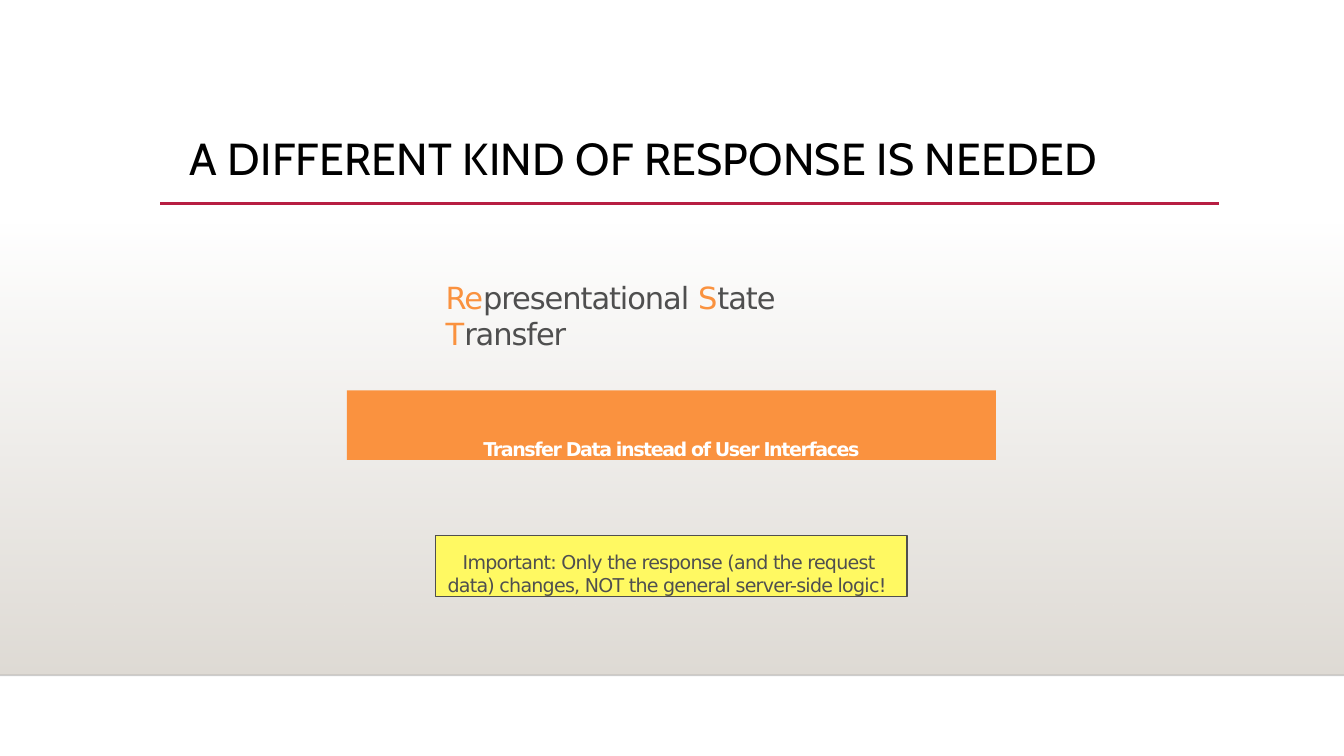
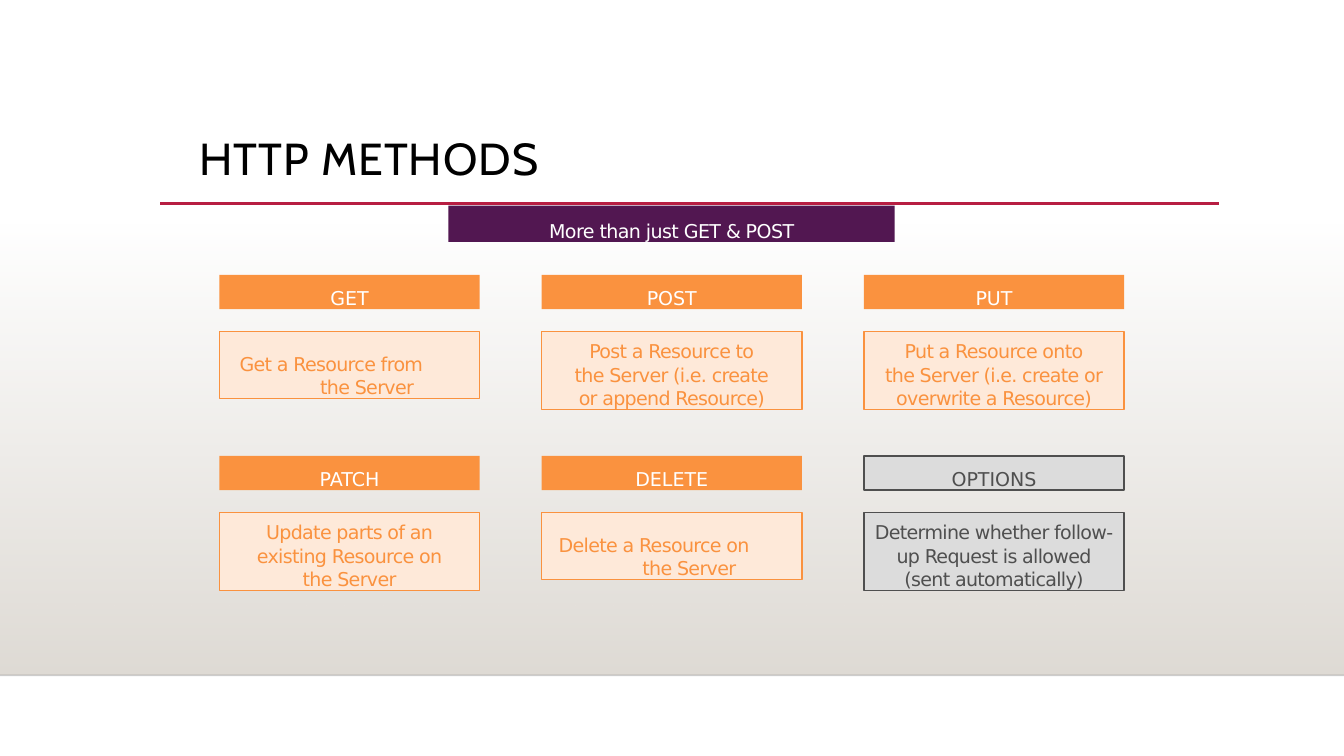
from dataclasses import dataclass
from typing import Optional

from lxml.etree import SubElement
from pptx import Presentation
from pptx.dml.color import RGBColor
from pptx.enum.shapes import MSO_CONNECTOR as Link, MSO_SHAPE as Kind
from pptx.enum.text import MSO_ANCHOR as Anchor, MSO_AUTO_SIZE as Fit, PP_ALIGN as Align
from pptx.oxml.ns import qn
from pptx.util import Cm, Pt

ORANGE, PEACH, YELLOW, PLUM = "FA923F", "FEE9D9", "FFF962", "521751"
DARK, PALE, SAND, RED = "4F4F4F", "DCDCDC", "DFDBD5", "B71E42"
WHITE, BLACK = "FFFFFF", "000000"
SANS, HEAD = "DejaVu Sans", "Cabin"
WIDE, HIGH = 33.87, 19.05


@dataclass(frozen=True)
class Box:
    """Place and size in centimetres."""
    left: float
    top: float
    width: float
    height: float

    def lengths(self) -> tuple:
        """Return the four values as lengths."""
        return Cm(self.left), Cm(self.top), Cm(self.width), Cm(self.height)


@dataclass(frozen=True)
class Skin:
    """Fill, line and text colours of a panel."""
    fill: str
    ink: str
    edge: Optional[str] = None


@dataclass(frozen=True)
class Method:
    """An HTTP method; a note with a hang is left aligned."""
    name: str
    note: str
    hang: Optional[tuple] = None
    head: Skin = Skin(ORANGE, WHITE)
    body: Skin = Skin(PEACH, ORANGE, ORANGE)


def paint(color: str) -> RGBColor:
    """Turn a hex string into a colour."""
    return RGBColor.from_string(color)


def fade(clr, share: int) -> None:
    """Give a colour element an opacity in percent."""
    SubElement(clr, qn("a:alpha")).set("val", str(share * 1000))


def write(frame, text: str, *, size: float = 13.6, font: str = SANS,
          ink: str = DARK, accent: str = ORANGE, bold: bool = False,
          gap: float = 0, align=Align.CENTER, anchor=Anchor.BOTTOM,
          hang: Optional[tuple] = None, leading: float = 1) -> None:
    """Fill a frame; newlines break lines and *stars* mark accents."""
    frame.margin_left = frame.margin_right = 0
    frame.margin_top = frame.margin_bottom = 0
    frame.word_wrap, frame.auto_size = True, Fit.NONE
    frame.vertical_anchor = anchor
    para = frame.paragraphs[0]
    para.alignment, para.line_spacing = align, leading
    if hang:
        props = para._p.get_or_add_pPr()
        props.set("marL", str(Cm(hang[0])))
        props.set("indent", str(Cm(hang[1])))
    for row, line in enumerate(text.split("\n")):
        if row:
            para.add_line_break()
        for turn, part in enumerate(line.split("*")):
            if not part:
                continue
            run = para.add_run()
            run.text = part
            run.font.size, run.font.name, run.font.bold = Pt(size), font, bold
            run.font.color.rgb = paint(accent if turn % 2 else ink)
            run._r.get_or_add_rPr().set("spc", str(round(gap * 100)))


def panel(slide, box: Box, skin: Skin, text: str, **form) -> None:
    """Draw a rectangle with text."""
    shape = slide.shapes.add_shape(Kind.RECTANGLE, *box.lengths())
    shape.shadow.inherit = False
    shape.fill.solid()
    shape.fill.fore_color.rgb = paint(skin.fill)
    if skin.edge:
        shape.line.color.rgb = paint(skin.edge)
        shape.line.width = Pt(1)
    else:
        shape.line.fill.background()
    write(shape.text_frame, text, ink=skin.ink, **form)


def rule(slide, left: float, right: float, top: float, color: str, width: float):
    """Draw a level line."""
    line = slide.shapes.add_connector(Link.STRAIGHT, Cm(left), Cm(top), Cm(right), Cm(top))
    line.line.color.rgb = paint(color)
    line.line.width = Pt(width)
    SubElement(line.element.spPr, qn("a:effectLst"))
    return line


def dress(layout, slide) -> None:
    """Draw the shared band and rules, and move them to the layout."""
    band = slide.shapes.add_shape(Kind.RECTANGLE, *Box(0, 5.61, WIDE, 11.4).lengths())
    band.shadow.inherit = False
    band.line.fill.background()
    band.fill.gradient()
    band.fill.gradient_angle = 270
    for stop in band.fill.gradient_stops:
        stop.color.rgb = paint(SAND)
    fade(next(band.element.iter(qn("a:srgbClr"))), 0)
    base = rule(slide, 0, WIDE, 17.02, BLACK, 1)
    fade(next(base.element.iter(qn("a:srgbClr"))), 20)
    under = rule(slide, 4.04, 30.73, 5.13, RED, 2.5)
    for place, shape in enumerate((band, base, under), 2):
        layout.shapes.element.insert(place, shape.element)


def start(deck, text: str, left: float, gap: float):
    """Add a slide with its title."""
    slide = deck.slides.add_slide(deck.slide_layouts[5])
    title = slide.shapes.title
    title.left, title.top, title.width, title.height = Box(left, 3.28, 24.7, 1.4).lengths()
    write(title.text_frame, text, size=32, font=HEAD, ink=BLACK, gap=gap,
          align=Align.LEFT, anchor=Anchor.MIDDLE)
    return slide


def need(deck) -> None:
    """Build the slide on the new kind of response."""
    slide = start(deck, "A DIFFERENT KIND OF RESPONSE IS NEEDED", 4.78, 0.16)
    dress(deck.slide_layouts[5], slide)
    label = slide.shapes.add_textbox(*Box(11.23, 7.02, 11.43, 1.9).lengths())
    write(label.text_frame, "*Re*presentational *S*tate\n*T*ransfer", size=21.8,
          gap=-0.8, align=Align.LEFT, anchor=Anchor.TOP)
    panel(slide, Box(8.74, 9.84, 16.36, 1.75), Skin(ORANGE, WHITE),
          "Transfer Data instead of User Interfaces", bold=True, gap=-1)
    panel(slide, Box(10.98, 13.5, 11.88, 1.53), Skin(YELLOW, DARK, DARK),
          "Important: Only the response (and the request\n"
          "data) changes, NOT the general server-side logic!",
          gap=-0.5, align=Align.LEFT, hang=(0.3, 0.38))


def verbs(deck) -> None:
    """Build the grid of HTTP methods."""
    slide = start(deck, "HTTP METHODS", 5.03, 0.68)
    panel(slide, Box(11.3, 5.18, 11.25, 0.92), Skin(PLUM, WHITE),
          "More than just GET & POST", gap=-0.4)
    grey = Skin(PALE, DARK, DARK)
    cards = (
        Method("GET", "Get a Resource from\nthe Server", (2.54, -2.03)),
        Method("POST", "Post a Resource to\nthe Server (i.e. create\nor append Resource)"),
        Method("PUT", "Put a Resource onto\nthe Server (i.e. create or\noverwrite a Resource)"),
        Method("PATCH", "Update parts of an\nexisting Resource on\nthe Server"),
        Method("DELETE", "Delete a Resource on\nthe Server", (2.54, -2.11)),
        Method("OPTIONS", "Determine whether follow-\nup Request is allowed\n(sent automatically)",
               head=grey, body=grey),
    )
    for place, card in enumerate(cards):
        row, col = divmod(place, 3)
        left, top = 5.53 + 8.12 * col, 6.93 + 4.56 * row
        panel(slide, Box(left, top, 6.56, 0.86), card.head, card.name)
        tall = 1.68 if card.hang else 1.96
        panel(slide, Box(left, top + 1.43, 6.56, tall), card.body, card.note, gap=-0.45,
              hang=card.hang, align=Align.LEFT if card.hang else Align.CENTER,
              leading=1 if card.hang else 1.03)


def main() -> None:
    """Build and save the deck."""
    deck = Presentation()
    deck.slide_width, deck.slide_height = Cm(WIDE), Cm(HIGH)
    need(deck)
    verbs(deck)
    deck.save("out.pptx")


main()
